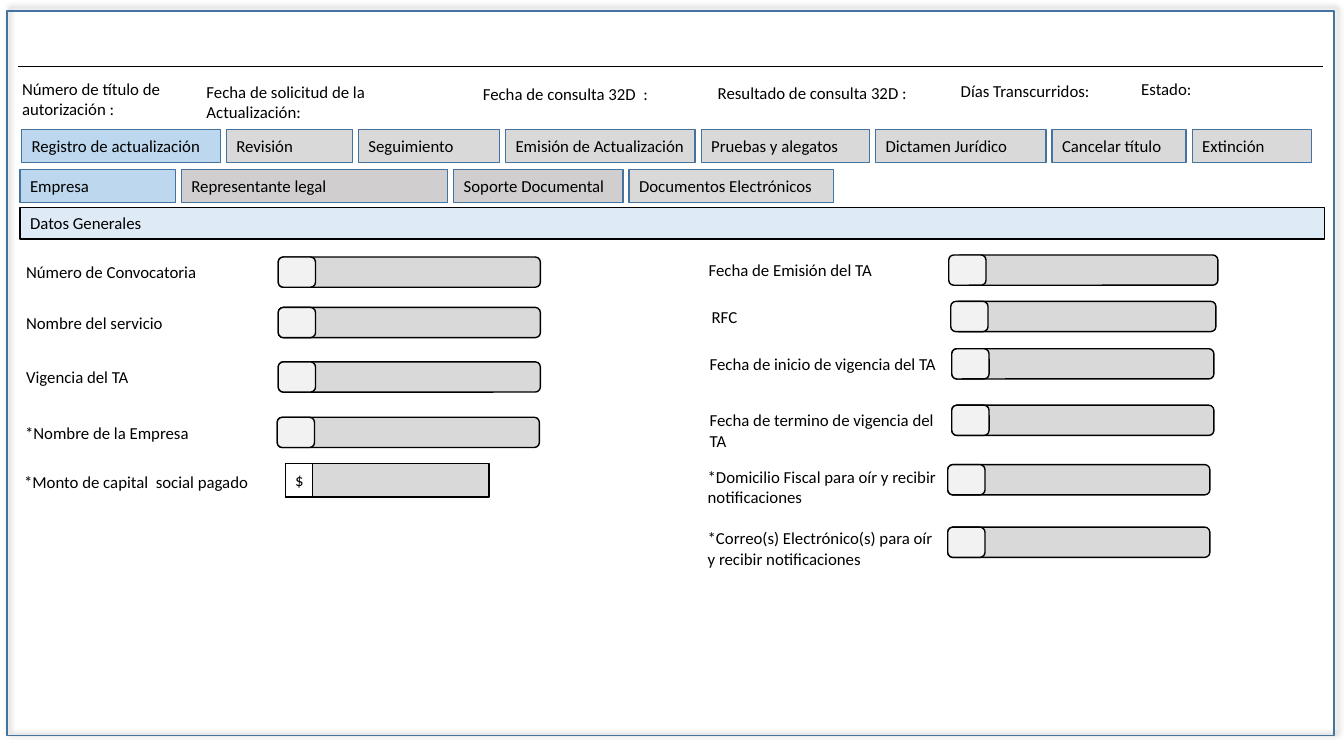
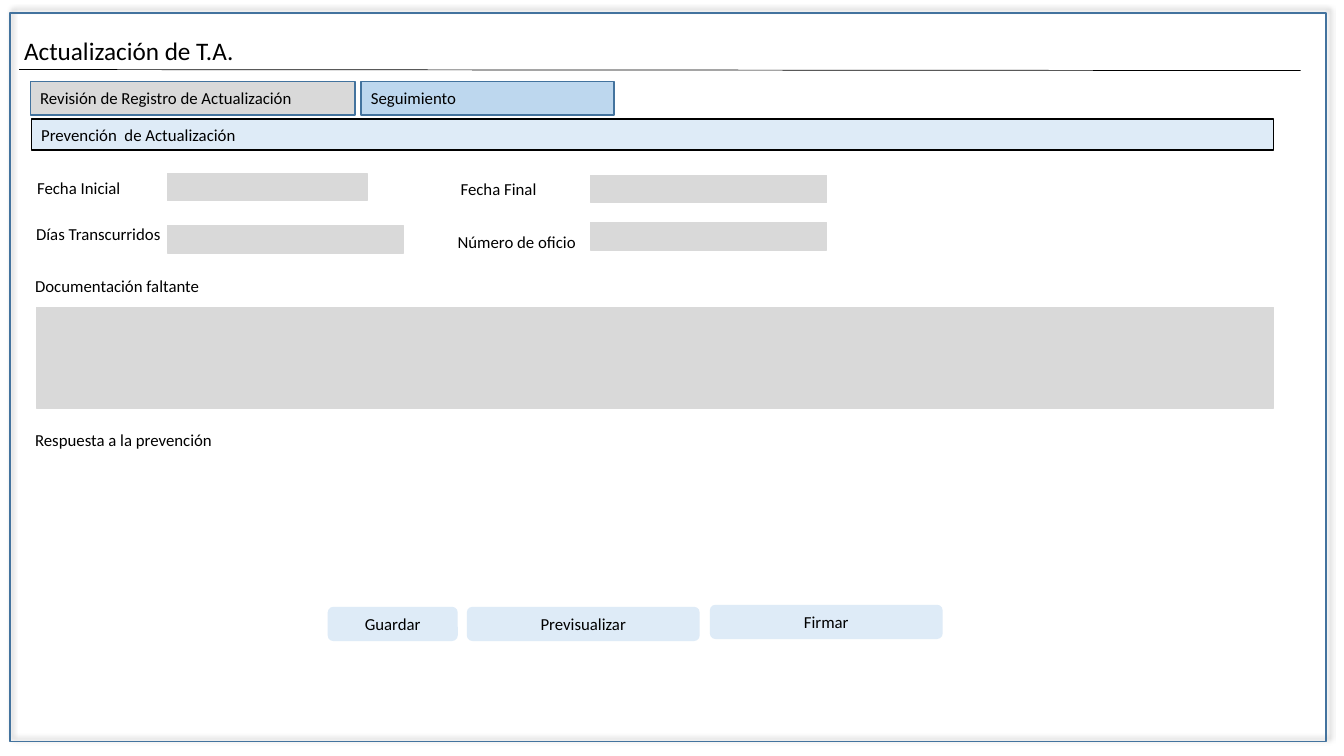
from dataclasses import dataclass
from typing import NamedTuple, Optional

from lxml.etree import SubElement
from pptx import Presentation
from pptx.dml.color import RGBColor
from pptx.enum.shapes import MSO_CONNECTOR as Connector, MSO_SHAPE as Preset
from pptx.enum.text import MSO_ANCHOR as Anchor, MSO_AUTO_SIZE as AutoSize, PP_ALIGN as Align
from pptx.oxml.ns import qn
from pptx.shapes.autoshape import Shape
from pptx.slide import Slide
from pptx.util import Inches, Pt

CELL = Inches(0.1)


@dataclass(frozen=True)
class Theme:
    font: str = "Calibri"
    body: float = 12
    title: float = 18
    outline: float = 1
    rule: float = 0.5
    ink: str = "000000"
    border: str = "43739E"
    active: str = "BDD7EE"
    idle: str = "D9D9D9"
    muted: str = "D0CECE"
    band: str = "DEEBF7"
    key: str = "F2F2F2"
    paper: str = "FFFFFF"


class Box(NamedTuple):
    left: float
    top: float
    width: float
    height: float


class Label(NamedTuple):
    text: str
    left: float
    top: float
    width: float
    height: float = 3


class Tab(NamedTuple):
    text: str
    width: float
    fill: str


class Button(NamedTuple):
    text: str
    box: Box


@dataclass(frozen=True)
class Field:
    text: str
    label_left: float
    key_left: float
    top: float
    label_width: float = 35.9
    label_height: float = 3
    label_rise: float = 0
    bar_shift: float = 0


THEME = Theme()
TAB_GAP = 0.6
BUTTON_GAP = 1

STAGES = [
    Tab("Registro de actualización", 19.7, THEME.active),
    Tab("Revisión", 12.5, THEME.idle),
    Tab("Seguimiento", 14, THEME.idle),
    Tab("Emisión de Actualización", 18.8, THEME.idle),
    Tab("Pruebas y alegatos", 16.7, THEME.idle),
    Tab("Dictamen Jurídico", 16.9, THEME.idle),
    Tab("Cancelar título", 13.3, THEME.idle),
    Tab("Extinción", 11.8, THEME.idle),
]
SECTIONS = [
    Tab("Empresa", 15.4, THEME.active),
    Tab("Representante legal", 26.4, THEME.muted),
    Tab("Soporte Documental", 16.8, THEME.muted),
    Tab("Documentos Electrónicos", 20.3, THEME.idle),
]
REVIEW_TABS = [
    Tab("Revisión de Registro de Actualización", 32.2, THEME.idle),
    Tab("Seguimiento", 25.1, THEME.active),
]
REQUEST_DATA = [
    Label("Número de título de autorización :", 1.2, 7.3, 16.9, 5),
    Label("Fecha de solicitud de la Actualización:", 19.5, 7.6, 20, 5),
    Label("Fecha de consulta 32D  :", 46.9, 7.8, 21.2),
    Label("Resultado de consulta 32D :", 70.2, 7.7, 21.2),
    Label("Días Transcurridos:", 94.3, 7.5, 21.2),
    Label("Estado:", 112.2, 7.3, 21.1),
]
COMPANY_FIELDS = [
    Field("Número de Convocatoria", 1.6, 27.6, 25.5),
    Field("Nombre del servicio", 1.6, 27.6, 30.5),
    Field("Vigencia del TA", 1.6, 27.6, 35.9),
    Field("*Nombre de la Empresa", 1.5, 27.5, 41.4),
    Field("Fecha de Emisión del TA", 69.3, 94.1, 25.3, bar_shift=0.7),
    Field("RFC", 69.6, 94.3, 29.9, bar_shift=0.3),
    Field("Fecha de inicio de vigencia del TA", 69.4, 94.4, 34.6),
    Field("Fecha de termino de vigencia del TA", 69.4, 94.4, 40.2, 25.2, 5),
    Field("*Domicilio Fiscal para oír y recibir notificaciones",
          69.2, 94, 46.1, 24.8, 5, 0.3),
    Field("*Correo(s) Electrónico(s) para oír y recibir notificaciones",
          69.2, 94, 52.3, 24.9, 7.1, 0.4),
]
PREVENTION_LABELS = [
    Label("Fecha Inicial", 2.7, 17.1, 33.7),
    Label("Días Transcurridos", 2.6, 21.7, 33.7),
    Label("Fecha Final", 44.7, 17.2, 33.7),
    Label("Número de oficio", 44.4, 22.5, 33.7),
    Label("Documentación faltante", 2.5, 26.9, 40),
    Label("Respuesta a la prevención", 2.5, 42.1, 40),
]
PREVENTION_INPUTS = [
    Box(16.6, 17.2, 19.8, 2.7),
    Box(58.6, 17.4, 23.4, 2.7),
    Box(16.6, 22.4, 23.4, 2.7),
    Box(58.6, 22.1, 23.4, 2.7),
    Box(3.6, 30.5, 122.7, 10),
]
ACTIONS = [
    Button("Guardar", Box(32.5, 60.2, 12.9, 3.4)),
    Button("Previsualizar", Box(46.3, 60.2, 23.1, 3.4)),
    Button("Firmar", Box(70.4, 60, 23.1, 3.4)),
]


def cells(count: float) -> int:
    return round(count * CELL)


def write(shape: Shape, text: str, size: float = THEME.body, align: Align = Align.LEFT) -> None:
    shape.text_frame.word_wrap = True
    paragraph = shape.text_frame.paragraphs[0]
    paragraph.text = text
    paragraph.alignment = align
    paragraph.font.name = THEME.font
    paragraph.font.size = Pt(size)
    paragraph.font.color.rgb = RGBColor.from_string(THEME.ink)


def draw_box(slide: Slide, box: Box, fill: Optional[str], line: Optional[str],
             text: str = "", align: Align = Align.LEFT,
             preset: Preset = Preset.RECTANGLE) -> Shape:
    shape = slide.shapes.add_shape(preset, *map(cells, box))
    shape.shadow.inherit = False
    if fill:
        shape.fill.solid()
        shape.fill.fore_color.rgb = RGBColor.from_string(fill)
    else:
        shape.fill.background()
    if line:
        shape.line.color.rgb = RGBColor.from_string(line)
        shape.line.width = Pt(THEME.outline)
    else:
        shape.line.fill.background()
    if text:
        shape.text_frame.vertical_anchor = Anchor.MIDDLE
        write(shape, text, align=align)
    return shape


def draw_label(slide: Slide, label: Label, size: float = THEME.body) -> None:
    caption = slide.shapes.add_textbox(*map(cells, label[1:]))
    write(caption, label.text, size)
    caption.text_frame.auto_size = AutoSize.SHAPE_TO_FIT_TEXT


def draw_frame(slide: Slide, box: Box) -> None:
    frame = draw_box(slide, box, None, THEME.border)
    effects = frame._element.spPr.find(qn("a:effectLst"))
    shadow = SubElement(effects, qn("a:outerShdw"), blurRad=str(Pt(4)), dist=str(Pt(3)),
                        dir=str(315 * 60000), algn="bl", rotWithShape="0")
    tint = SubElement(shadow, qn("a:srgbClr"), val=THEME.ink)
    SubElement(tint, qn("a:alpha"), val="40000")


def draw_rule(slide: Slide, left: float, top: float, right: float, bottom: float) -> None:
    rule = slide.shapes.add_connector(Connector.STRAIGHT, *map(cells, (left, top, right, bottom)))
    rule.line.color.rgb = RGBColor.from_string(THEME.ink)
    rule.line.width = Pt(THEME.rule)
    SubElement(rule._element.spPr, qn("a:effectLst"))


def draw_tabs(slide: Slide, tabs: list[Tab], left: float, top: float) -> None:
    for tab in tabs:
        draw_box(slide, Box(left, top, tab.width, 3.3), tab.fill, THEME.border, tab.text)
        left += tab.width + TAB_GAP


def draw_band(slide: Slide, text: str, left: float, top: float, width: float) -> None:
    draw_box(slide, Box(left, top, width, 3.1), THEME.band, THEME.ink, text)


def draw_field(slide: Slide, field: Field) -> None:
    bar = Box(field.key_left + field.bar_shift, field.top, 26, 3)
    key = Box(field.key_left, field.top, 3.7, 3)
    for box, fill in ((bar, THEME.idle), (key, THEME.key)):
        draw_box(slide, box, fill, THEME.ink, preset=Preset.ROUNDED_RECTANGLE)
    draw_label(slide, Label(field.text, field.label_left, field.top - field.label_rise,
                            field.label_width, field.label_height))


def draw_capital(slide: Slide) -> None:
    draw_label(slide, Label("*Monto de capital  social pagado", 1.4, 46.3, 33.7))
    draw_box(slide, Box(28.3, 46, 20.2, 3.3), THEME.idle, THEME.ink)
    draw_box(slide, Box(28.3, 46, 2.7, 3.3), THEME.paper, THEME.ink, "$", Align.CENTER)


def build_registration(slide: Slide) -> None:
    draw_frame(slide, Box(0.7, 1.1, 131.6, 71.9))
    draw_rule(slide, 1.8, 6.6, 131.2, 6.6)
    for label in REQUEST_DATA:
        draw_label(slide, label)
    draw_tabs(slide, STAGES, 2.15, 12.85)
    draw_tabs(slide, SECTIONS, 2, 16.8)
    draw_band(slide, "Datos Generales", 2, 20.6, 129.4)
    for field in COMPANY_FIELDS:
        draw_field(slide, field)
    draw_capital(slide)


def build_follow_up(slide: Slide) -> None:
    draw_frame(slide, Box(1, 1.3, 130.5, 72.3))
    draw_label(slide, Label("Actualización de T.A.", 1.4, 3, 51.1, 4), THEME.title)
    draw_rule(slide, 1.9, 6.9, 129, 7)
    draw_tabs(slide, REVIEW_TABS, 3, 8.1)
    draw_band(slide, "Prevención  de Actualización", 3.1, 11.8, 123.2)
    for box in PREVENTION_INPUTS:
        draw_box(slide, box, THEME.idle, THEME.idle)
    for label in PREVENTION_LABELS:
        draw_label(slide, label)
    for action in ACTIONS:
        draw_box(slide, action.box, THEME.band, None, action.text, Align.CENTER,
                 Preset.ROUNDED_RECTANGLE)


def main() -> None:
    deck = Presentation()
    deck.slide_width, deck.slide_height = Inches(13.33), Inches(7.5)
    blank = deck.slide_layouts[6]
    for build in (build_registration, build_follow_up):
        build(deck.slides.add_slide(blank))
    deck.save("out.pptx")


if __name__ == "__main__":
    main()
